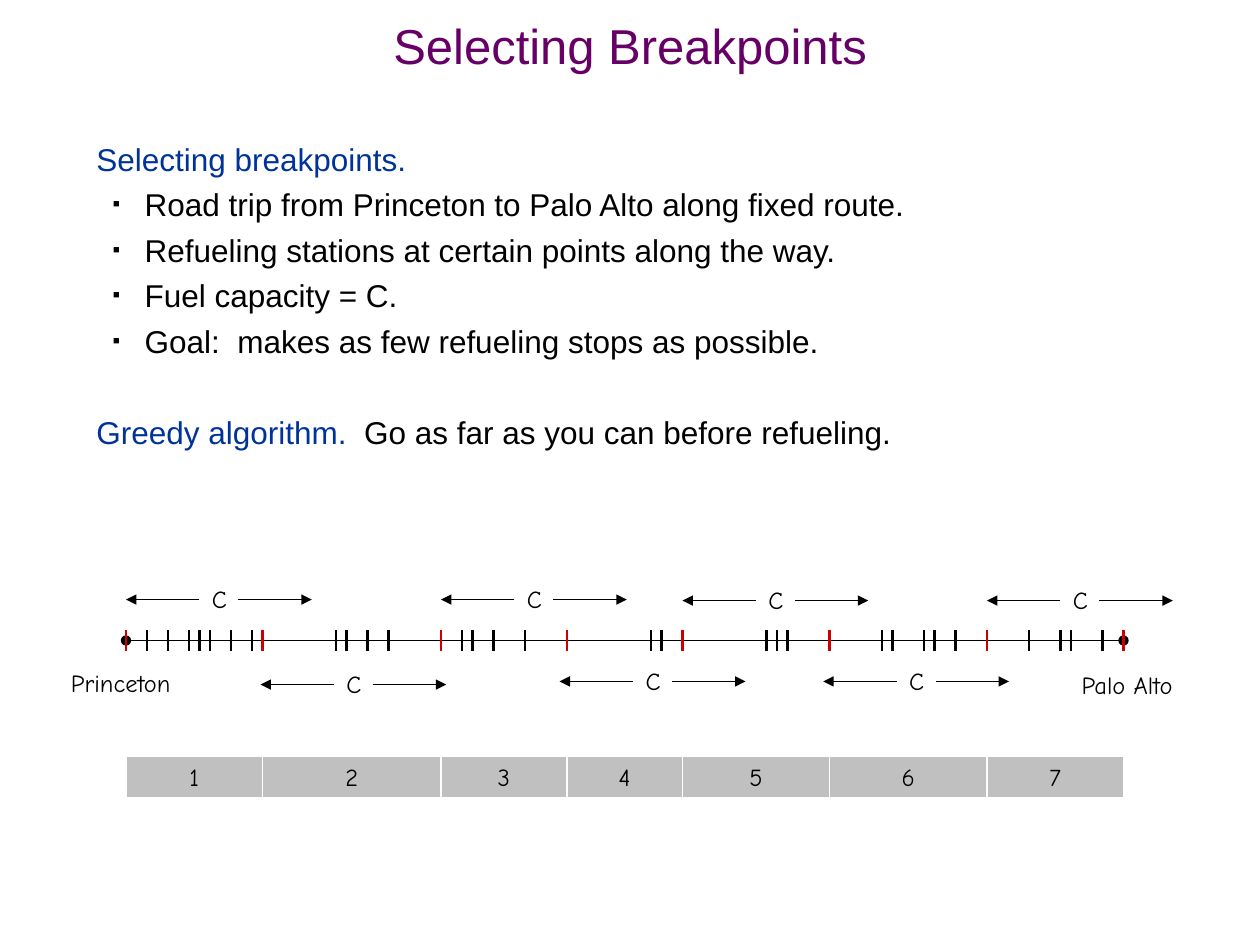
from lxml import etree
from pptx import Presentation, util as u
from pptx.dml.color import RGBColor
from pptx.enum import shapes, text
from pptx.oxml.ns import qn

PX = 7620  # EMU per px, 120 px to the inch
BLACK = RGBColor(0x00, 0x00, 0x00)
WHITE = RGBColor(0xFF, 0xFF, 0xFF)
GRAY = RGBColor(0xC0, 0xC0, 0xC0)
RED = RGBColor(0xCC, 0x00, 0x00)
BLUE = RGBColor(0x00, 0x33, 0x99)
PURPLE = RGBColor(0x66, 0x00, 0x66)


def write(shape, paragraphs, size=14, font="Comic Neue", align=text.PP_ALIGN.CENTER,
          anchor=text.MSO_ANCHOR.MIDDLE, wrap=False, line_spacing=None):
    """Fill a shape with paragraphs, each a list of (text, colour) runs."""
    frame = shape.text_frame
    frame.word_wrap = wrap
    frame.vertical_anchor = anchor
    for index, runs in enumerate(paragraphs):
        paragraph = frame.add_paragraph() if index else frame.paragraphs[0]
        paragraph.alignment = align
        paragraph.line_spacing = line_spacing
        for words, color in runs:
            run = paragraph.add_run()
            run.text = words
            run.font.size = u.Pt(size)
            run.font.name = font
            run.font.color.rgb = color
    return frame.paragraphs


def add_line(parent, x1, y1, x2, y2, color=BLACK, width=0.75, head=None, tail=None):
    line = parent.shapes.add_connector(shapes.MSO_CONNECTOR.STRAIGHT,
                                       x1 * PX, y1 * PX, x2 * PX, y2 * PX)
    line.line.color.rgb = color
    line.line.width = u.Pt(width)
    outline = line.line._get_or_add_ln()
    for tag, kind in (("a:headEnd", head), ("a:tailEnd", tail)):
        if kind:
            etree.SubElement(outline, qn(tag), type=kind)
    etree.SubElement(line._element.spPr, qn("a:effectLst"))


presentation = Presentation()
presentation.slide_width = 1200 * PX
presentation.slide_height = 900 * PX
slide = presentation.slides.add_slide(presentation.slide_layouts[6])

# Title
title = slide.shapes.add_textbox(0, 20 * PX, 1200 * PX, 60 * PX)
write(title, [[("Selecting Breakpoints", PURPLE)]], size=28, font="Arial",
      wrap=True, line_spacing=0.7)

# Body: heading, bullets, algorithm
bullets = [
    "Road trip from Princeton to Palo Alto along fixed route.",
    "Refueling stations at certain points along the way.",
    "Fuel capacity = C.",
    "Goal:  makes as few refueling stops as possible.",
]
body = slide.shapes.add_textbox(80 * PX, 120 * PX, 1030 * PX, 710 * PX)
paragraphs = write(
    body,
    [[("Selecting breakpoints.", BLUE)]]
    + [[(bullet, BLACK)] for bullet in bullets]
    + [[("Greedy algorithm.  ", BLUE), ("Go as far as you can before refueling.", BLACK)]],
    size=18, font="Arial", align=text.PP_ALIGN.LEFT, anchor=text.MSO_ANCHOR.TOP,
    wrap=True, line_spacing=u.Pt(26))
paragraphs[-1].space_before = u.Pt(26)
for paragraph in paragraphs[1:-1]:
    paragraph.level = 1
    properties = paragraph._p.get_or_add_pPr()
    properties.set("marL", str(46 * PX))
    properties.set("indent", str(-30 * PX))
    bullet_color = etree.SubElement(properties, qn("a:buClr"))
    etree.SubElement(bullet_color, qn("a:srgbClr"), val=str(BLACK))
    etree.SubElement(properties, qn("a:buSzPct"), val="35000")
    etree.SubElement(properties, qn("a:buFont"), typeface="Arial")
    etree.SubElement(properties, qn("a:buChar"), char="■")

# Route with its two end points
stops = [120, 250, 420, 540, 650, 790, 940, 1070]
add_line(slide, stops[0], 610, stops[-1], 610, head="oval", tail="oval")
for city, left, top, width in (("Princeton", 52, 628, 126), ("Palo Alto", 1013, 630, 121)):
    label = slide.shapes.add_textbox(left * PX, top * PX, width * PX, 44 * PX)
    write(label, [[(city, BLACK)]])

# Numbered legs between stops
for number, (start, end) in enumerate(zip(stops, stops[1:]), 1):
    leg = slide.shapes.add_shape(shapes.MSO_SHAPE.RECTANGLE, start * PX, 720 * PX,
                                 (end - start) * PX, 40 * PX)
    leg.shadow.inherit = False
    leg.fill.solid()
    leg.fill.fore_color.rgb = GRAY
    leg.line.color.rgb = WHITE
    leg.line.width = u.Pt(0.75)
    write(leg, [[(str(number), BLACK)]])

# Fuel ranges: a C between two outward arrows
ranges = [(120, 571), (248, 652), (420, 571), (533, 649), (650, 572), (784, 649), (940, 572)]
for left, y in ranges:
    group = slide.shapes.add_group_shape()
    add_line(group, left + 107, y, left + 177, y, tail="triangle")
    add_line(group, left + 70, y, left, y, tail="triangle")
    label = group.shapes.add_textbox((left + 70) * PX, (y - 23) * PX, 38 * PX, 44 * PX)
    write(label, [[("C", BLACK)]])

# Stations along the route, chosen stops in red
stations = [140, 160, 180, 190, 200, 220, 240, 320, 330, 350, 370, 440, 450, 470, 500,
            620, 630, 730, 740, 750, 840, 850, 880, 890, 910, 980, 1010, 1020, 1050]
for positions, color in ((stations, BLACK), (stops, RED)):
    for x in positions:
        add_line(slide, x, 600, x, 620, color=color, width=1.25)

presentation.save("out.pptx")
